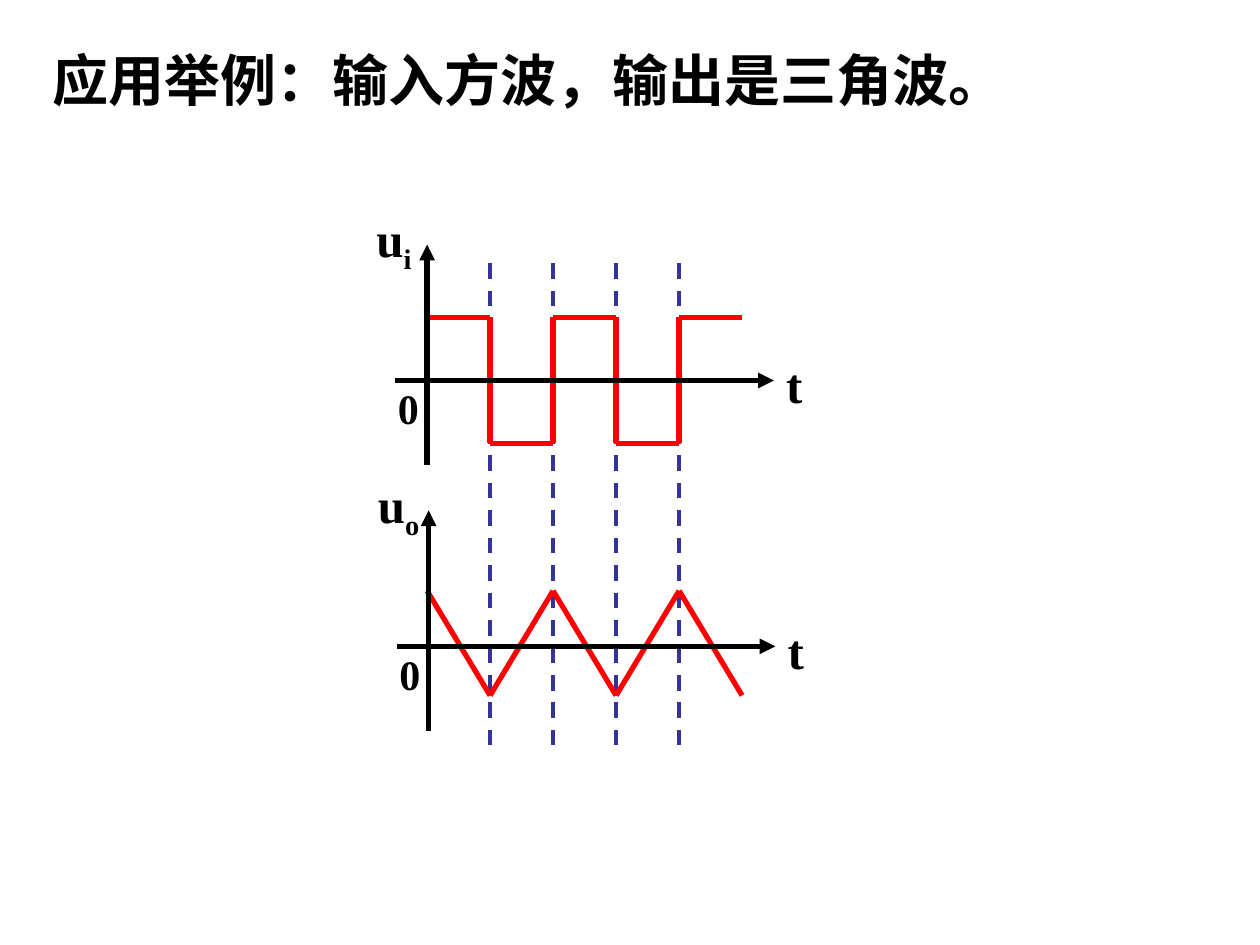
from dataclasses import dataclass
from itertools import pairwise

from lxml import etree
from pptx import Presentation
from pptx import util as u
from pptx.dml.color import RGBColor
from pptx.enum import dml, shapes, text
from pptx.oxml.ns import qn

BLACK = RGBColor(0x00, 0x00, 0x00)
RED = RGBColor(0xFF, 0x00, 0x00)
BLUE = RGBColor(0x33, 0x33, 0x99)

# All lengths are in centimetres.
GRID_LEFT = 8.61
HALF_PERIOD = 1.27
GRID = [GRID_LEFT + HALF_PERIOD * step for step in range(6)]
GUIDE_TOP, GUIDE_BOTTOM = 5.31, 15.19
SQUARE_HIGH, SQUARE_LOW = 6.4, 8.94
TRIANGLE_HIGH, TRIANGLE_LOW = 11.91, 14.02


@dataclass
class Stroke:
    color: RGBColor
    width: float = 3
    dashed: bool = False
    arrow: bool = False


@dataclass
class Label:
    wording: str
    left: float
    top: float
    width: float
    height: float
    size: int = 28
    subscript: str = ""


@dataclass
class Axes:
    """A pair of axes, placed by their origin."""
    x: float
    y: float
    subscript: str


GUIDE = Stroke(BLUE, 2.25, dashed=True)
WAVE = Stroke(RED)
SHAFT = Stroke(BLACK)
ARROW = Stroke(BLACK, arrow=True)

TITLE = Label("应用举例：输入方波，输出是三角波。", 0.81, 0.79, 20.12, 1.63, size=32)
AXES = [Axes(8.61, 7.67, "i"), Axes(8.64, 13.03, "o")]


def draw_line(slide, start: tuple[float, float], end: tuple[float, float],
              stroke: Stroke) -> None:
    ends = [u.Cm(value) for value in (*start, *end)]
    connector = slide.shapes.add_connector(shapes.MSO_CONNECTOR.STRAIGHT, *ends)
    connector.line.color.rgb = stroke.color
    connector.line.width = u.Pt(stroke.width)
    if stroke.dashed:
        connector.line.dash_style = dml.MSO_LINE.DASH
    properties = connector._element.spPr
    if stroke.arrow:
        outline = properties.find(qn("a:ln"))
        etree.SubElement(outline, qn("a:tailEnd"), type="triangle")
    etree.SubElement(properties, qn("a:effectLst"))


def draw_label(slide, label: Label) -> None:
    box = slide.shapes.add_textbox(u.Cm(label.left), u.Cm(label.top),
                                   u.Cm(label.width), u.Cm(label.height))
    frame = box.text_frame
    frame.word_wrap = True
    frame.auto_size = text.MSO_AUTO_SIZE.SHAPE_TO_FIT_TEXT
    paragraph = frame.paragraphs[0]
    font_format = {"name": "Times New Roman", "size": u.Pt(label.size), "bold": True}
    for wording, baseline in ((label.wording, None), (label.subscript, "-25000")):
        if not wording:
            continue
        run = paragraph.add_run()
        run.text = wording
        for name, value in font_format.items():
            setattr(run.font, name, value)
        run.font.color.rgb = BLACK
        if baseline:
            run.font._element.set("baseline", baseline)


def draw_guides(slide) -> None:
    for x in GRID[1:-1]:
        draw_line(slide, (x, GUIDE_TOP), (x, GUIDE_BOTTOM), GUIDE)


def draw_square_wave(slide) -> None:
    for index, (left, right) in enumerate(pairwise(GRID)):
        level = SQUARE_LOW if index % 2 else SQUARE_HIGH
        draw_line(slide, (left, level), (right, level), WAVE)
    for x in GRID[1:-1]:
        draw_line(slide, (x, SQUARE_HIGH), (x, SQUARE_LOW), WAVE)


def draw_triangle_wave(slide) -> None:
    points = [(x, TRIANGLE_LOW if index % 2 else TRIANGLE_HIGH)
              for index, x in enumerate(GRID)]
    for start, end in pairwise(points):
        draw_line(slide, start, end, WAVE)


def draw_axes(slide, axes: Axes) -> None:
    x, y = axes.x, axes.y
    draw_line(slide, (x, y - 2.11), (x, y + 1.7), SHAFT)
    draw_line(slide, (x - 0.64, y), (x + 6.35, y), SHAFT)
    draw_line(slide, (x + 6.15, y), (x + 6.99, y), ARROW)
    draw_line(slide, (x, y - 2.11), (x, y - 2.74), ARROW)
    draw_label(slide, Label("t", x + 6.99, y - 0.64, 1.07, 1.45))
    draw_label(slide, Label("u", x - 1.27, y - 3.59, 1.63, 1.6,
                            subscript=axes.subscript))
    draw_label(slide, Label("0", x - 0.84, y - 0.09, 1.07, 1.27, size=24))


def main() -> None:
    presentation = Presentation()
    presentation.slide_width = u.Cm(25.4)
    presentation.slide_height = u.Cm(19.05)
    slide = presentation.slides.add_slide(presentation.slide_layouts[6])

    draw_label(slide, TITLE)
    draw_guides(slide)
    input_axes, output_axes = AXES
    draw_square_wave(slide)
    draw_axes(slide, input_axes)
    draw_triangle_wave(slide)
    draw_axes(slide, output_axes)
    presentation.save("out.pptx")


if __name__ == "__main__":
    main()
